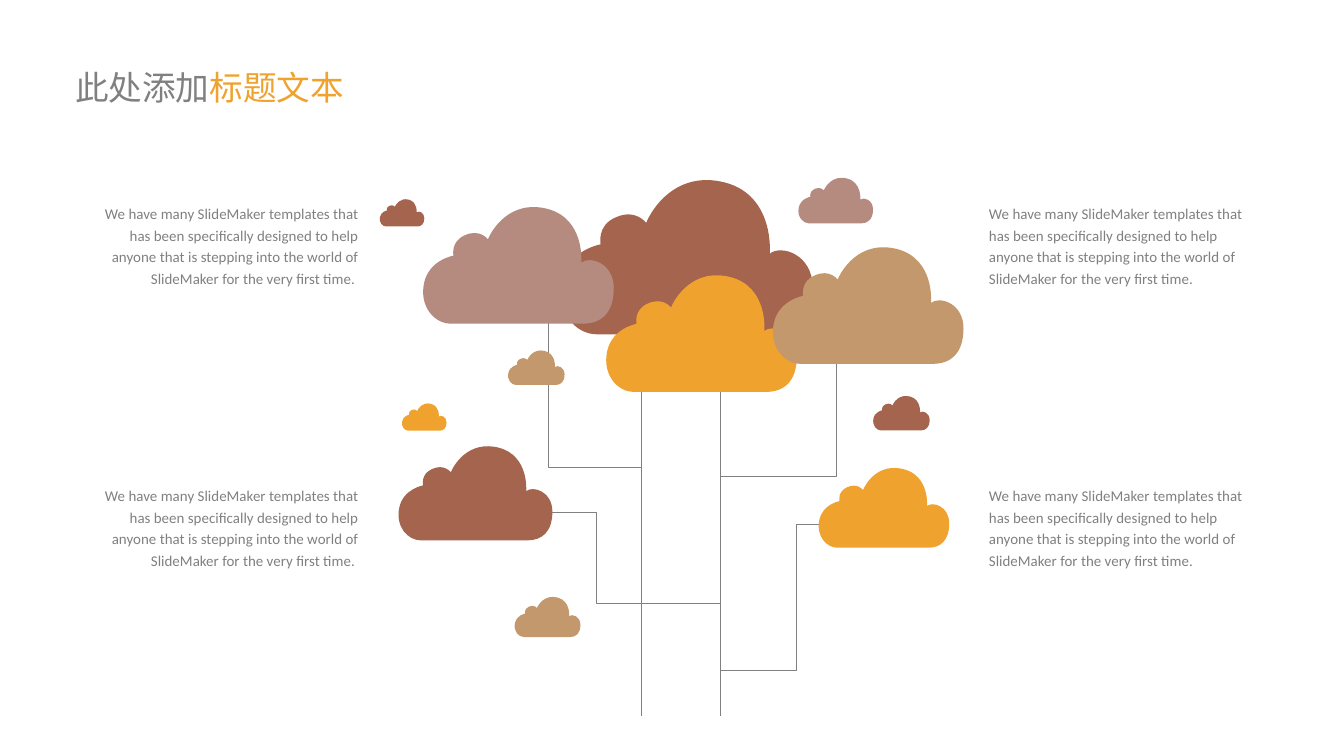
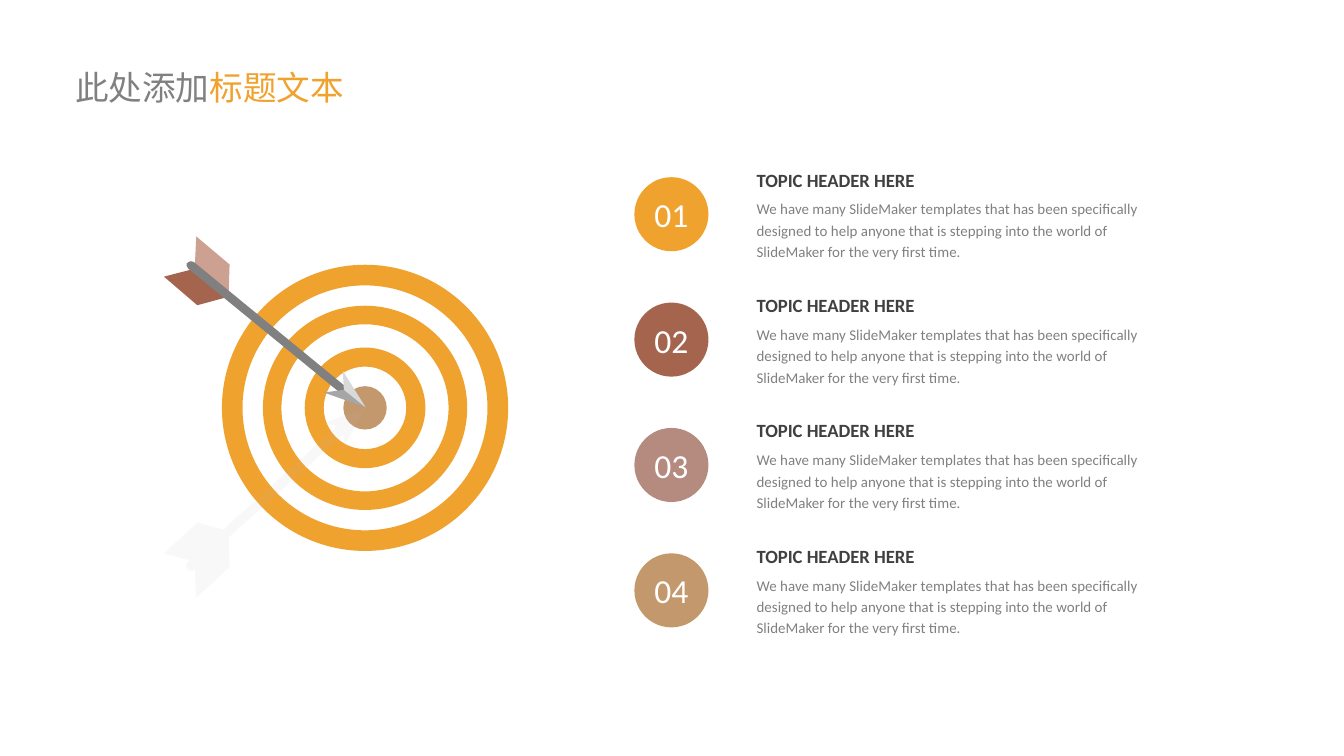
from lxml import etree
from pptx import Presentation
from pptx.dml.color import RGBColor
from pptx.enum.shapes import MSO_CONNECTOR, MSO_SHAPE
from pptx.enum.text import MSO_ANCHOR, MSO_AUTO_SIZE, PP_ALIGN
from pptx.oxml.ns import qn
from pptx.util import Cm, Pt

STRAIGHT = MSO_CONNECTOR.STRAIGHT
OVAL, DONUT = MSO_SHAPE.OVAL, MSO_SHAPE.DONUT
TOP, MIDDLE = MSO_ANCHOR.TOP, MSO_ANCHOR.MIDDLE
LEFT, RIGHT, CENTER = PP_ALIGN.LEFT, PP_ALIGN.RIGHT, PP_ALIGN.CENTER
NO_FIT = MSO_AUTO_SIZE.NONE

ORANGE, RUST, ROSE, TAN = "F0A22E", "A5644E", "B58B80", "C3986D"
GRAY, DARK, WHITE = "808080", "404040", "FFFFFF"
TITLE_FONT, BODY_FONT = "Noto Sans CJK SC", "Calibri"

TITLE_PARTS = [("此处添加", GRAY), ("标题文本", ORANGE)]
BODY = ("We have many SlideMaker templates that has been specifically designed to help "
        "anyone that is stepping into the world of SlideMaker for the very first time.")

NOTE_COLUMNS = [(18.69, 5.0, LEFT, BODY), (1.7, 5.08, RIGHT, BODY + " ")]
NOTE_TOPS = [3.81, 9.14]

TRUNK_LINES = [12.12, 13.61]
TRUNK_TOP, TRUNK_BOTTOM = 7.29, 13.54
BRANCHES = [
    [(10.36, 5.82), (10.36, 8.83), (12.12, 8.83)],
    [(13.61, 9.01), (15.8, 9.01), (15.8, 6.88)],
    [(15.47, 9.91), (15.06, 9.91), (15.06, 12.67), (13.61, 12.67)],
    [(13.61, 11.41), (11.28, 11.41), (11.28, 9.68), (10.44, 9.68)],
]

CLOUD_UNITS = 192
CLOUD_OUTLINE = [
    (31, 123), (162, 123),
    (179, 123, 192, 113, 192, 88),
    (192, 63, 168, 56, 160, 63),
    (160, 63, 164, 20, 127, 10),
    (89, 0, 71, 32, 68, 40),
    (68, 40, 60, 29, 45, 36),
    (31, 42, 34, 56, 34, 56),
    (34, 56, 10, 60, 5, 83),
    (0, 107, 16, 123, 31, 123),
]
CLOUDS = [
    (10.49, 3.2, 4.87, RUST), (7.92, 3.76, 3.68, ROSE), (15.06, 3.3, 1.44, ROSE),
    (7.16, 3.73, 0.86, RUST), (7.58, 7.59, 0.86, ORANGE), (16.48, 7.44, 1.09, RUST),
    (7.47, 8.31, 2.97, RUST), (15.42, 8.74, 2.52, ORANGE), (9.7, 11.23, 1.27, TAN),
    (9.58, 6.58, 1.09, TAN), (11.38, 5.05, 3.68, ORANGE), (14.53, 4.52, 3.68, TAN),
]

TARGET_CENTER = (6.9, 7.71)
BULLSEYE = 0.82
RINGS = [(5.41, 0.39), (3.86, 0.35), (2.28, 0.36)]
ARROW_PARTS = [
    ([(4.32, 5.61), (3.73, 5.77), (3.1, 5.23), (3.68, 5.08)], RUST),
    ([(4.32, 5.61), (4.34, 5.0), (3.71, 4.47), (3.68, 5.08)], "CCA192"),
    ([(6.68, 7.62), (6.65, 7.62, 6.65, 7.59, 6.63, 7.59), (3.56, 5.08),
      (3.53, 5.05, 3.51, 5.0, 3.53, 4.98), (3.58, 4.93, 3.63, 4.93, 3.66, 4.95),
      (6.73, 7.47), (6.78, 7.49, 6.78, 7.54, 6.76, 7.57),
      (6.73, 7.59, 6.71, 7.62, 6.68, 7.62)], GRAY),
    ([(6.12, 7.42), (6.91, 7.7), (6.5, 7.37)], "A6A6A6"),
    ([(6.5, 7.37), (6.91, 7.7), (6.48, 7.01)], "D9D9D9"),
]
ARROW_SHADE = [
    (6.91, 7.7), (6.48, 8.48), (6.5, 8.2), (4.32, 10.16), (4.34, 10.72), (3.71, 11.3),
    (3.68, 10.74), (3.66, 10.77), (3.63, 10.8, 3.58, 10.8, 3.53, 10.74),
    (3.51, 10.72, 3.53, 10.64, 3.56, 10.62), (3.58, 10.59), (3.1, 10.46),
    (3.73, 9.88), (4.22, 10.01), (6.38, 8.05), (6.12, 8.0),
]

TOPICS = [("01", ORANGE), ("02", RUST), ("03", ROSE), ("04", TAN)]
TOPIC_HEADER = "TOPIC HEADER HERE"
TOPIC_TOP, TOPIC_STEP = 3.1, 2.37
BADGE_DROP, BADGE_SIZE = 0.25, 1.4


def color(value):
    return RGBColor.from_string(value)


def style_run(run, size, value, font=BODY_FONT, bold=False):
    run.font.size, run.font.name, run.font.bold = Pt(size), font, bold
    run.font.color.rgb = color(value)


def clear_frame(frame, anchor=TOP):
    frame.margin_left = frame.margin_right = frame.margin_top = frame.margin_bottom = 0
    frame.word_wrap, frame.auto_size, frame.vertical_anchor = True, NO_FIT, anchor


def paint(shape, value):
    shape.shadow.inherit = False
    shape.fill.solid()
    shape.fill.fore_color.rgb = color(value)
    shape.line.fill.background()


def add_slide(presentation):
    slide = presentation.slides.add_slide(presentation.slide_layouts[5])
    title = slide.shapes.title
    title.left, title.top, title.width, title.height = Cm(1.42), Cm(1.27), Cm(6), Cm(0.76)
    clear_frame(title.text_frame)
    paragraph = title.text_frame.paragraphs[0]
    paragraph.alignment = LEFT
    for text, value in TITLE_PARTS:
        run = paragraph.add_run()
        run.text = text
        style_run(run, 18, value, TITLE_FONT)
        east_asian = etree.SubElement(run.font._element, qn("a:ea"))
        east_asian.set("typeface", TITLE_FONT)
    return slide


def add_text(slide, left, top, width, height, lines, alignment=LEFT, space_before=0):
    box = slide.shapes.add_textbox(Cm(left), Cm(top), Cm(width), Cm(height))
    frame = box.text_frame
    clear_frame(frame)
    frame.text = "\n".join(line[0] for line in lines)
    for paragraph, (_, size, value, bold) in zip(frame.paragraphs, lines):
        paragraph.alignment = alignment
        paragraph.line_spacing = 1.2
        paragraph.space_before = Pt(space_before)
        style_run(paragraph.runs[0], size, value, bold=bold)


def add_outline(slide, outline, close=True):
    """Draw corner pairs as lines and six-number segments as Bezier curves."""
    points = [(Cm(segment[index]), Cm(segment[index + 1]))
              for segment in outline for index in range(0, len(segment), 2)]
    builder = slide.shapes.build_freeform(*points[0], scale=1.0)
    builder.add_line_segments(points[1:], close=close)
    shape = builder.convert_to_shape()
    lines = iter(list(shape._element.iter(qn("a:lnTo"))))
    for segment in outline[1:]:
        line = next(lines)
        if len(segment) == 6:
            curve = etree.Element(qn("a:cubicBezTo"))
            line.addprevious(curve)
            for control in (line, next(lines), next(lines)):
                curve.append(control[0])
                control.getparent().remove(control)
    return shape


def add_cloud(slide, left, top, width, value):
    scale = width / CLOUD_UNITS
    outline = [
        tuple((top if index % 2 else left) + number * scale
              for index, number in enumerate(segment))
        for segment in CLOUD_OUTLINE]
    paint(add_outline(slide, outline), value)


def add_round(slide, kind, center_x, center_y, size, value):
    shape = slide.shapes.add_shape(
        kind, Cm(center_x - size / 2), Cm(center_y - size / 2), Cm(size), Cm(size))
    paint(shape, value)
    return shape


def style_line(shape):
    shape.line.color.rgb = color(GRAY)
    shape.line.width = Pt(0.5)


def build_tree_slide(presentation):
    slide = add_slide(presentation)
    for x in TRUNK_LINES:
        trunk = slide.shapes.add_connector(
            STRAIGHT, Cm(x), Cm(TRUNK_TOP), Cm(x), Cm(TRUNK_BOTTOM))
        style_line(trunk)
        etree.SubElement(trunk._element.spPr, qn("a:effectLst"))
    for points in BRANCHES:
        branch = add_outline(slide, points, close=False)
        branch.shadow.inherit = False
        branch.fill.background()
        style_line(branch)
    for left, width, alignment, text in NOTE_COLUMNS:
        for top in NOTE_TOPS:
            add_text(slide, left, top, width, 1.65, [(text, 8, GRAY, False)], alignment)
    for cloud in CLOUDS:
        add_cloud(slide, *cloud)


def build_target_slide(presentation):
    slide = add_slide(presentation)
    add_round(slide, OVAL, *TARGET_CENTER, BULLSEYE, TAN)
    for size, thickness in RINGS:
        ring = add_round(slide, DONUT, *TARGET_CENTER, size, ORANGE)
        ring.adjustments[0] = thickness / size
    for outline, value in ARROW_PARTS:
        paint(add_outline(slide, outline), value)
    shade = add_outline(slide, ARROW_SHADE)
    paint(shade, "BFBFBF")
    fill_color = shade._element.spPr.find(qn("a:solidFill")).find(qn("a:srgbClr"))
    etree.SubElement(fill_color, qn("a:alpha")).set("val", "10000")

    lines = [(TOPIC_HEADER, 10, DARK, True), (BODY, 8, GRAY, False)]
    for index, (number, value) in enumerate(TOPICS):
        top = TOPIC_TOP + index * TOPIC_STEP
        add_text(slide, 14.3, top, 7.39, 1.85, lines, space_before=3)
        badge = add_round(slide, OVAL, 12.69, top + BADGE_DROP + BADGE_SIZE / 2,
                          BADGE_SIZE, value)
        clear_frame(badge.text_frame, MIDDLE)
        badge.text_frame.text = number
        paragraph = badge.text_frame.paragraphs[0]
        paragraph.alignment = CENTER
        style_run(paragraph.runs[0], 18, WHITE)


def main():
    presentation = Presentation()
    presentation.slide_width, presentation.slide_height = Cm(25.4), Cm(14.29)
    build_tree_slide(presentation)
    build_target_slide(presentation)
    presentation.save("out.pptx")


if __name__ == "__main__":
    main()
